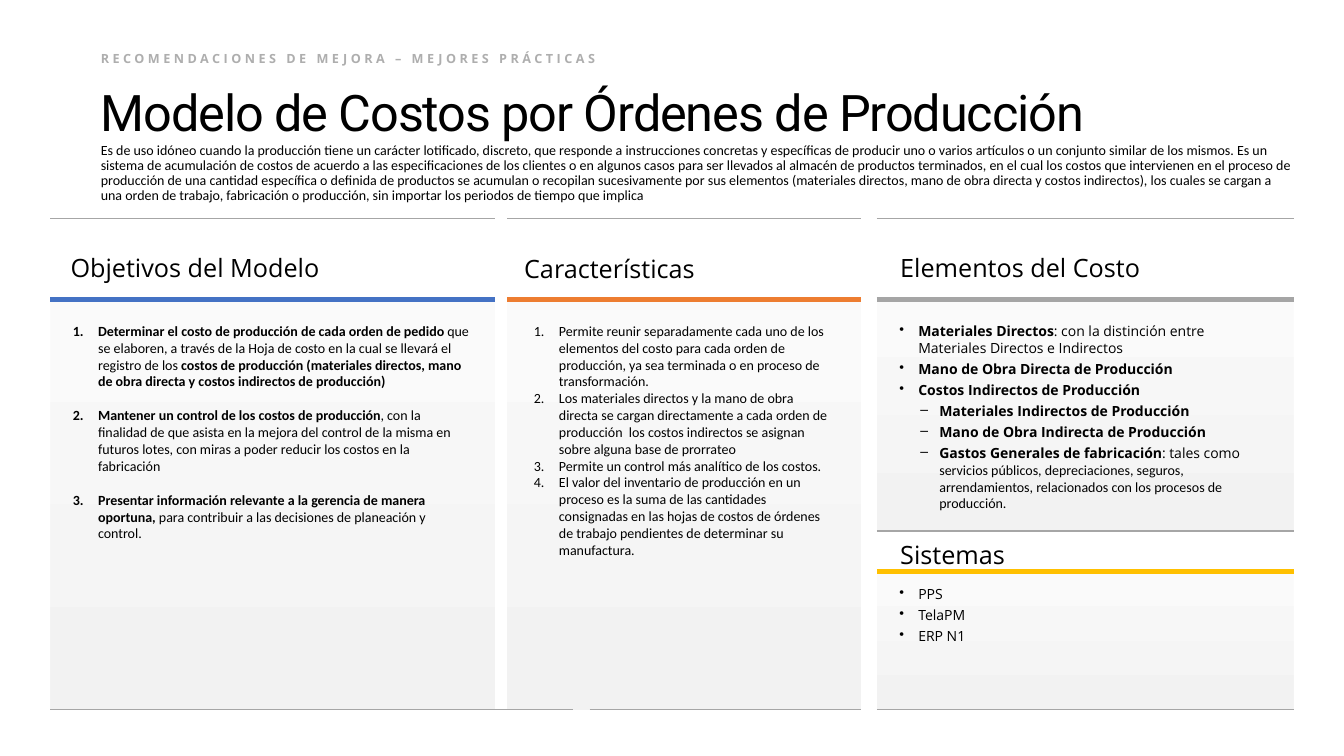
from dataclasses import dataclass

from lxml import etree
from pptx import Presentation
from pptx import util as u
from pptx.dml.color import RGBColor
from pptx.enum import shapes, text
from pptx.oxml import ns

Pt = u.Pt


@dataclass(frozen=True)
class Theme:
    ink: str = "000000"
    mute: str = "AEAEAE"
    rule: str = "A6A6A6"
    pale: str = "FAFAFA"
    shade: str = "F2F2F2"
    blue: str = "4472C4"
    orange: str = "ED7D31"
    gray: str = "A5A5A5"
    gold: str = "FFC000"
    title: str = "Roboto"
    head: str = "Open Sans"
    body: str = "Calibri"
    big: float = 36
    mid: float = 18
    base: float = 10
    small: float = 9
    thin: float = 1
    thick: float = 4


@dataclass(frozen=True)
class Span:
    words: str
    bold: bool = False
    face: str = ""


@dataclass(frozen=True)
class Mark:
    """Bullet sign (empty for numbers), text margin and hanging indent."""
    sign: str
    left: float
    hang: float


T = Theme()
NUM = Mark("", 18, 18)
DOT = Mark("•", 13.5, 13.5)
DASH = Mark("–", 28.5, 13.5)


def bold(words):
    return Span(words, True)


AIMS = [
    (NUM, bold("Determinar el costo de producción de cada orden de pedido "),
     Span("que se elaboren, a través de la Hoja de costo en la cual se llevará el registro de los "),
     bold("costos de producción (materiales directos, mano de obra directa y costos indirectos de producción)")),
    (NUM, bold("Mantener un control de los costos de producción"),
     Span(", con la finalidad de que asista en la mejora del control de la misma en futuros lotes, "
          "con miras a poder reducir los costos en la fabricación")),
    (NUM, bold("Presentar información relevante a la gerencia de manera oportuna, "),
     Span("para contribuir a las decisiones de planeación y control.")),
]
TRAITS = [(NUM, Span(words)) for words in (
    "Permite reunir separadamente cada uno de los elementos del costo para cada orden de producción, "
    "ya sea terminada o en proceso de transformación.",
    "Los materiales directos y la mano de obra directa se cargan directamente a cada orden de producción  "
    "los costos indirectos se asignan sobre alguna base de prorrateo",
    "Permite un control más analítico de los costos.",
    "El valor del inventario de producción en un proceso es la suma de las cantidades consignadas en las "
    "hojas de costos de órdenes de trabajo pendientes de determinar su manufactura.",
)]
COSTS = [
    (DOT, bold("Materiales Directos"),
     Span(": con la distinción entre Materiales Directos e Indirectos")),
    (DOT, bold("Mano de Obra Directa de Producción")),
    (DOT, bold("Costos Indirectos de Producción")),
    (DASH, bold("Materiales Indirectos de Producción")),
    (DASH, bold("Mano de Obra Indirecta de Producción")),
    (DASH, bold("Gastos Generales de fabricación"), Span(": tales como "),
     Span("servicios públicos, depreciaciones, seguros, arrendamientos, relacionados con los procesos "
          "de producción.", face=T.body)),
]
TOOLS = [(DOT, Span(name)) for name in ("PPS", "TelaPM", "ERP N1")]
INTRO = (
    "Es de uso idóneo cuando la producción tiene un carácter lotificado, discreto, que responde a "
    "instrucciones concretas y específicas de producir uno o varios artículos o un conjunto similar de "
    "los mismos. Es un sistema de acumulación de costos de acuerdo a las especificaciones de los clientes "
    "o en algunos casos para ser llevados al almacén de productos terminados, en el cual los costos que "
    "intervienen en el proceso de producción de una cantidad específica o definida de productos se "
    "acumulan o recopilan sucesivamente por sus elementos (materiales directos, mano de obra directa y "
    "costos indirectos), los cuales se cargan a una orden de trabajo, fabricación o producción, sin "
    "importar los periodos de tiempo que implica")


def style(font, face, size, hue=T.ink):
    font.name, font.size = face, Pt(size)
    font.color.rgb = RGBColor.from_string(hue)


def frame(slide, box, pad=(0, 0, 0, 0), anchor=text.MSO_ANCHOR.TOP):
    area = slide.shapes.add_textbox(*map(Pt, box)).text_frame
    area.word_wrap = True
    area.vertical_anchor = anchor
    (area.margin_left, area.margin_top,
     area.margin_right, area.margin_bottom) = map(Pt, pad)
    return area


def label(area, words, face, size, hue=T.ink, track=0, lead=1.0):
    """Write one line of text; track is letter spacing in points."""
    para = area.paragraphs[0]
    para.line_spacing = lead
    style(para.font, face, size, hue)
    run = para.add_run()
    run.text = words
    if track:
        run._r.get_or_add_rPr().set("spc", str(round(track * 100)))


def rule(slide, left, right, y, hue=T.rule, width=T.thin):
    line = slide.shapes.add_connector(
        shapes.MSO_CONNECTOR.STRAIGHT, Pt(left), Pt(y), Pt(right), Pt(y))
    line.line.color.rgb = RGBColor.from_string(hue)
    line.line.width = Pt(width)
    etree.SubElement(line._element.spPr, ns.qn("a:effectLst"))


def bullet(para, mark):
    props = para._p.get_or_add_pPr()
    props.set("marL", str(Pt(mark.left)))
    props.set("indent", str(-Pt(mark.hang)))
    if mark.sign:
        sign = etree.Element(ns.qn("a:buChar"), char=mark.sign)
    else:
        sign = etree.Element(ns.qn("a:buAutoNum"), type="arabicPeriod")
    props.find(ns.qn("a:defRPr")).addprevious(sign)


def items(slide, box, rows, face, gap):
    area = frame(slide, box, (7.2, 3.6, 7.2, 3.6))
    for i, (mark, *spans) in enumerate(rows):
        para = area.add_paragraph() if i else area.paragraphs[0]
        para.space_after = Pt(gap)
        style(para.font, face, T.base)
        bullet(para, mark)
        for span in spans:
            run = para.add_run()
            run.text = span.words
            if span.bold:
                run.font.bold = True
            if span.face:
                run.font.name = span.face


def panel(slide, box, name, hue, rows, face, gap, bar=57.6, head=(14.4, 14.4, 41), inset=(9, 13)):
    """Headed list; bar, head (x, y, height) and inset are offsets within the box."""
    left, top, width, height = box
    y = top + bar
    back = slide.shapes.add_shape(
        shapes.MSO_SHAPE.RECTANGLE, Pt(left), Pt(y), Pt(width), Pt(height - bar))
    back.shadow.inherit = False
    back.line.fill.background()
    back.fill.gradient()
    back.fill.gradient_angle = 270
    for stop, tint in zip(back.fill.gradient_stops, (T.pale, T.shade)):
        stop.color.rgb = RGBColor.from_string(tint)
    rule(slide, left, left + width, y, hue, T.thick)
    rule(slide, left, left + width, top)
    x, drop, tall = head
    area = frame(slide, (left + x, top + drop, width - 2 * x, tall), anchor=text.MSO_ANCHOR.MIDDLE)
    label(area, name, T.head, T.mid)
    x, drop = inset
    items(slide, (left + x, y + drop, width - 2 * x, height - bar - drop), rows, face, gap)


def header(slide, box):
    left, top, width, _ = box
    area = frame(slide, (left, top, 400, 16))
    label(area, "RECOMENDACIONES DE MEJORA – MEJORES PRÁCTICAS", T.head, T.small, T.mute, 2.5)
    area.paragraphs[0].font.bold = True
    area = frame(slide, (left, top + 18, 816, 46.8), (0, 3.6, 0, 0), text.MSO_ANCHOR.BOTTOM)
    label(area, "Modelo de Costos por Órdenes de Producción", T.title, T.big, track=-0.8, lead=0.9)
    label(frame(slide, (left, top + 65.5, width, 37.4)), INTRO, T.body, T.base, lead=0.9)


def main():
    deck = Presentation()
    deck.slide_width, deck.slide_height = Pt(960), Pt(540)
    slide = deck.slides.add_slide(deck.slide_layouts[6])
    top, low, base = 156.2, 379.4, 506.9
    header(slide, (72, 36.7, 852, 103))
    panel(slide, (36, top, 317.5, base - top), "Objetivos del Modelo", T.blue, AIMS, T.body, 12.2)
    panel(slide, (626.4, top, 297.6, low - top), "Elementos del Costo", T.gray, COSTS, T.head, 3,
          head=(16.6, 14.4, 41))
    panel(slide, (626.4, low, 297.6, base - low), "Sistemas", T.gold, TOOLS, T.head, 3,
          bar=28.8, head=(16.6, 1.5, 30.2), inset=(9, 6.5))
    panel(slide, (362.2, top, 252.7, base - top), "Características", T.orange, TRAITS, T.body, 0,
          head=(12.2, 14.4, 42.5), inset=(12, 13))
    for left, right in ((626.4, 924), (421.2, 614.9), (36, 409)):
        rule(slide, left, right, base)
    deck.save("out.pptx")


if __name__ == "__main__":
    main()
